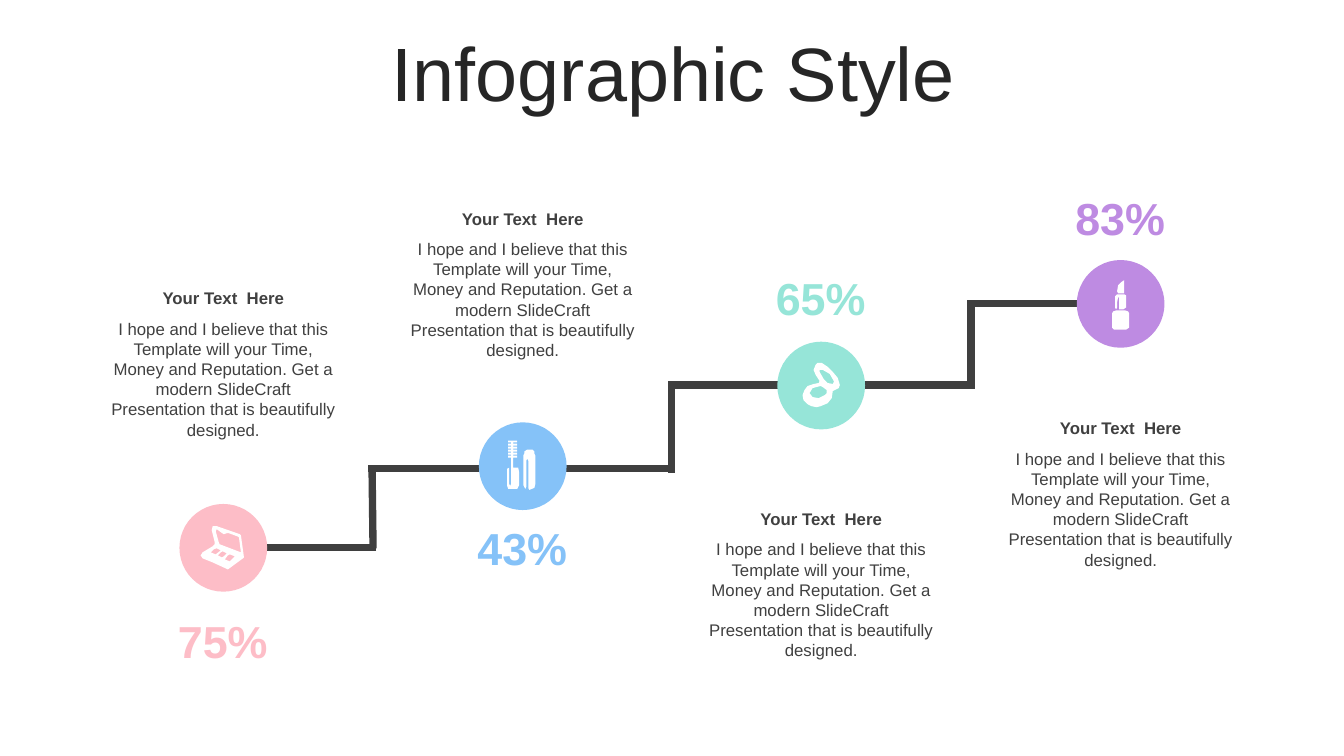
from lxml.etree import SubElement
from pptx import Presentation
from pptx.dml.color import RGBColor
from pptx.enum.shapes import MSO_CONNECTOR, MSO_SHAPE
from pptx.enum.text import MSO_ANCHOR, PP_ALIGN
from pptx.oxml.ns import qn
from pptx.util import Pt

PX = 9144  # EMU in one px: 100 px to the inch
DARK = "404040"
SIZE = 87
BODY = ("I hope and I believe that this Template will your Time, Money and "
        "Reputation. Get a modern SlideCraft Presentation that is "
        "beautifully designed.")

# Icon outlines, in px from the corner of their disc
POWDER = [
    [(64, 53), (63, 54), (48, 65), (46, 64), (33, 58), (23, 54), (21, 51),
     (23, 48), (33, 42), (35, 40), (35, 38), (32, 26), (33, 22), (37, 22),
     (60, 30), (61, 31)],
    [(61, 48), (59, 33), (57, 32), (49, 29), (47, 29), (44, 30), (41, 28),
     (37, 25), (36, 27), (39, 38), (40, 40)],
    [(50, 50), (48, 51), (45, 55), (50, 57), (55, 52)],
    [(38, 51), (42, 53), (44, 52), (47, 49), (43, 47), (41, 48)],
    [(31, 48), (36, 50), (41, 46), (37, 44), (34, 45)],
]
TEETH = range(18, 36, 3)
RIGHT = [(x, y + dy) for y in TEETH
         for x, dy in ((38, 0), (38, 2), (34, 2), (34, 3))]
LEFT = [(x, y + dy) for y in reversed(TEETH)
        for x, dy in ((32, 3), (32, 2), (29, 2), (29, 0))]
MASCARA = [
    [(53, 27), (55, 29), (55, 31), (56, 33), (56, 61), (55, 65), (50, 67),
     (49, 65), (49, 38), (48, 36), (47, 38), (47, 64), (46, 66), (44, 62),
     (44, 33), (45, 31), (45, 29), (48, 27)],
    RIGHT + [(34, 45), (39, 45), (40, 50), (40, 62), (38, 66), (29, 66),
             (28, 63), (28, 46), (30, 45), (30, 61), (31, 63), (32, 61)] + LEFT,
]
MIRROR = [
    [(39, 65), (34, 64), (30, 62), (26, 58), (25, 53), (27, 48), (30, 44),
     (36, 42), (41, 41), (42, 39), (40, 36), (38, 33), (36, 28), (38, 23),
     (40, 21), (44, 21), (50, 25), (55, 30), (60, 36), (62, 43), (61, 46),
     (57, 48), (55, 49), (54, 56), (50, 61), (43, 64)],
    [(43, 44), (35, 46), (32, 51), (35, 55), (41, 56), (47, 53), (49, 51),
     (49, 48), (45, 45)],
    [(55, 42), (56, 40), (56, 39), (52, 32), (45, 28), (42, 28), (42, 30),
     (46, 37), (50, 41)],
]
LIPSTICK = [
    [(48, 50), (51, 51), (52, 53), (52, 67), (49, 69), (37, 69), (35, 67),
     (35, 53), (36, 51), (39, 50)],
    [(47, 34), (49, 35), (49, 47), (46, 49), (42, 49), (42, 37), (41, 37),
     (40, 42), (40, 47), (39, 49), (38, 47), (38, 36), (40, 34)],
    [(47, 20), (47, 33), (41, 33), (40, 31), (41, 25), (44, 22)],
]

# Share, colour, icon, top of the text, top of the share
STAGES = [
    ("75%", "FDBDC7", POWDER, 281, 604),
    ("43%", "85C2F8", MASCARA, 202, 512),
    ("65%", "96E5D8", MIRROR, 500, 264),
    ("83%", "BE8BE2", LIPSTICK, 410, 184),
]
STAIRS = [
    (663, 382, 963, 382), (667, 465, 365, 465), (373, 543, 265, 543),
    (1068, 301, 959, 301), (369, 462, 370, 544), (666, 379, 666, 469),
    (963, 301, 963, 386),
]


def tint(color):
    return RGBColor.from_string(color)


def scale(*nums):
    return [n * PX for n in nums]


def write(frame, text, size, color, bold=False):
    frame.word_wrap = True
    para = frame.paragraphs[0]
    para.alignment = PP_ALIGN.CENTER
    run = para.add_run()
    run.text = text
    font = run.font
    font.name, font.size, font.bold = "Arial", Pt(size), bold
    font.color.rgb = tint(color)
    return para


def label(slide, box, *style):
    write(slide.shapes.add_textbox(*scale(*box)).text_frame, *style)


def paint(shape, color):
    shape.shadow.inherit = False
    shape.fill.solid()
    shape.fill.fore_color.rgb = tint(color)
    shape.line.fill.background()


def header(slide, box):
    title = slide.shapes.title
    title.left, title.top, title.width, title.height = scale(*box)
    title.text_frame.vertical_anchor = MSO_ANCHOR.MIDDLE
    write(title.text_frame, "Infographic Style", 54, "262626").line_spacing = 0.9


def stairs(slide):
    for ends in STAIRS:
        line = slide.shapes.add_connector(MSO_CONNECTOR.STRAIGHT, *scale(*ends))
        line.line.color.rgb = tint("3F3F3F")
        line.line.width = Pt(5.25)
        SubElement(line._element.spPr, qn("a:effectLst"))


def icon(slide, left, top, loops):
    first, *rest = loops
    pen = slide.shapes.build_freeform(*first[0], scale=PX)
    pen.add_line_segments(first[1:], close=True)
    for loop in rest:
        pen.move_to(*loop[0])
        pen.add_line_segments(loop[1:], close=True)
    paint(pen.convert_to_shape(*scale(left, top)), "FFFFFF")


def stage(slide, left, top, data):
    """Place a disc at left, top, with its icon, share and text."""
    share, color, loops, head, foot = data
    label(slide, (left - 81, head, 249, 30), "Your Text  Here", 12, DARK, True)
    label(slide, (left - 81, head + 30, 249, 131), BODY, 12, DARK)
    label(slide, (left - 19, foot, 124, 64), share, 32, color, True)
    disc = slide.shapes.add_shape(MSO_SHAPE.OVAL, *scale(left, top, SIZE, SIZE))
    paint(disc, color)
    icon(slide, left, top, loops)


def main():
    deck = Presentation()
    deck.slide_width, deck.slide_height = scale(1333, 750)
    slide = deck.slides.add_slide(deck.slide_layouts[5])
    header(slide, (35, 37, 1266, 79))
    stairs(slide)
    for i, data in enumerate(STAGES):
        stage(slide, round(178 + 296.7 * i), round(500 - 80.7 * i), data)
    deck.save("out.pptx")


if __name__ == "__main__":
    main()
